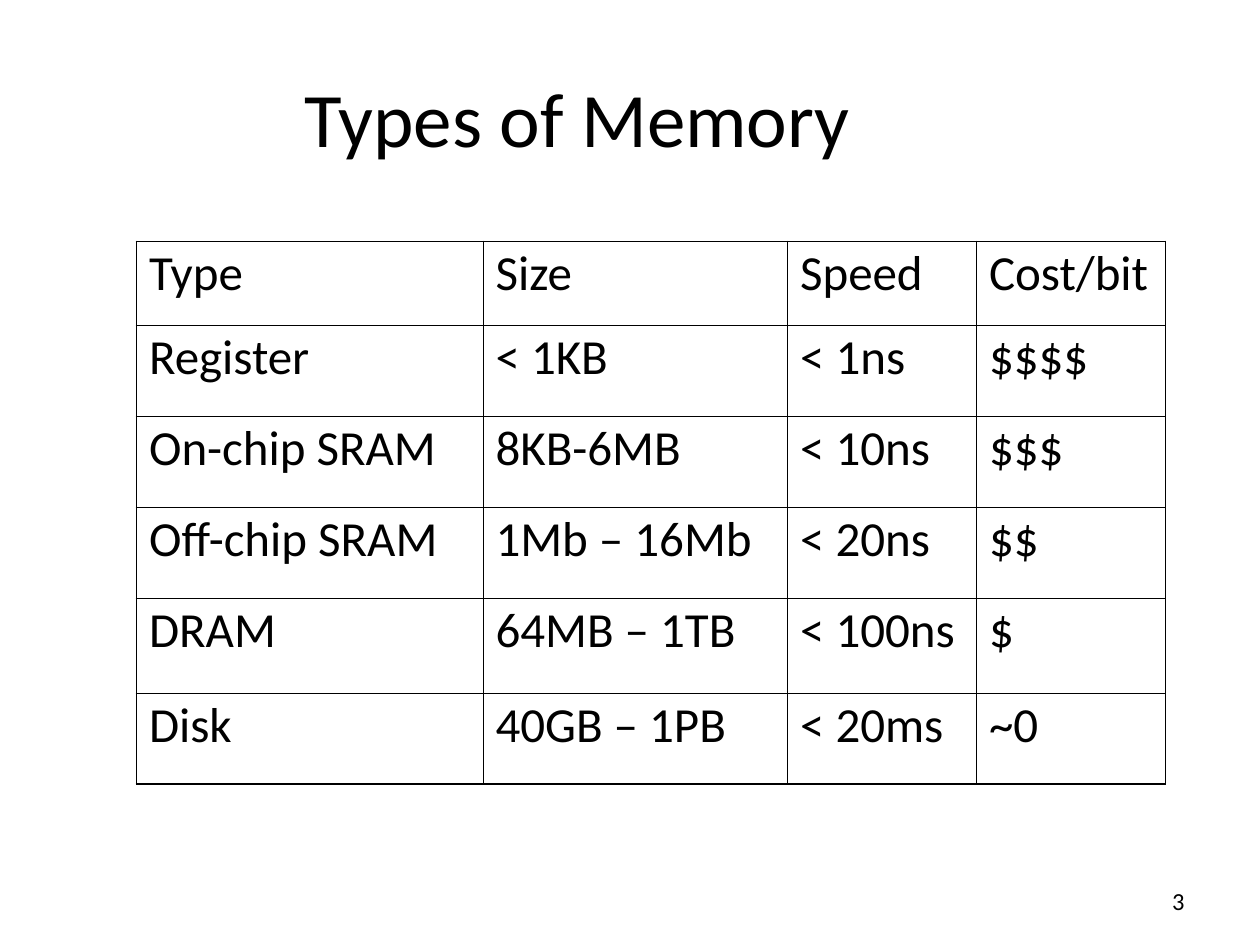
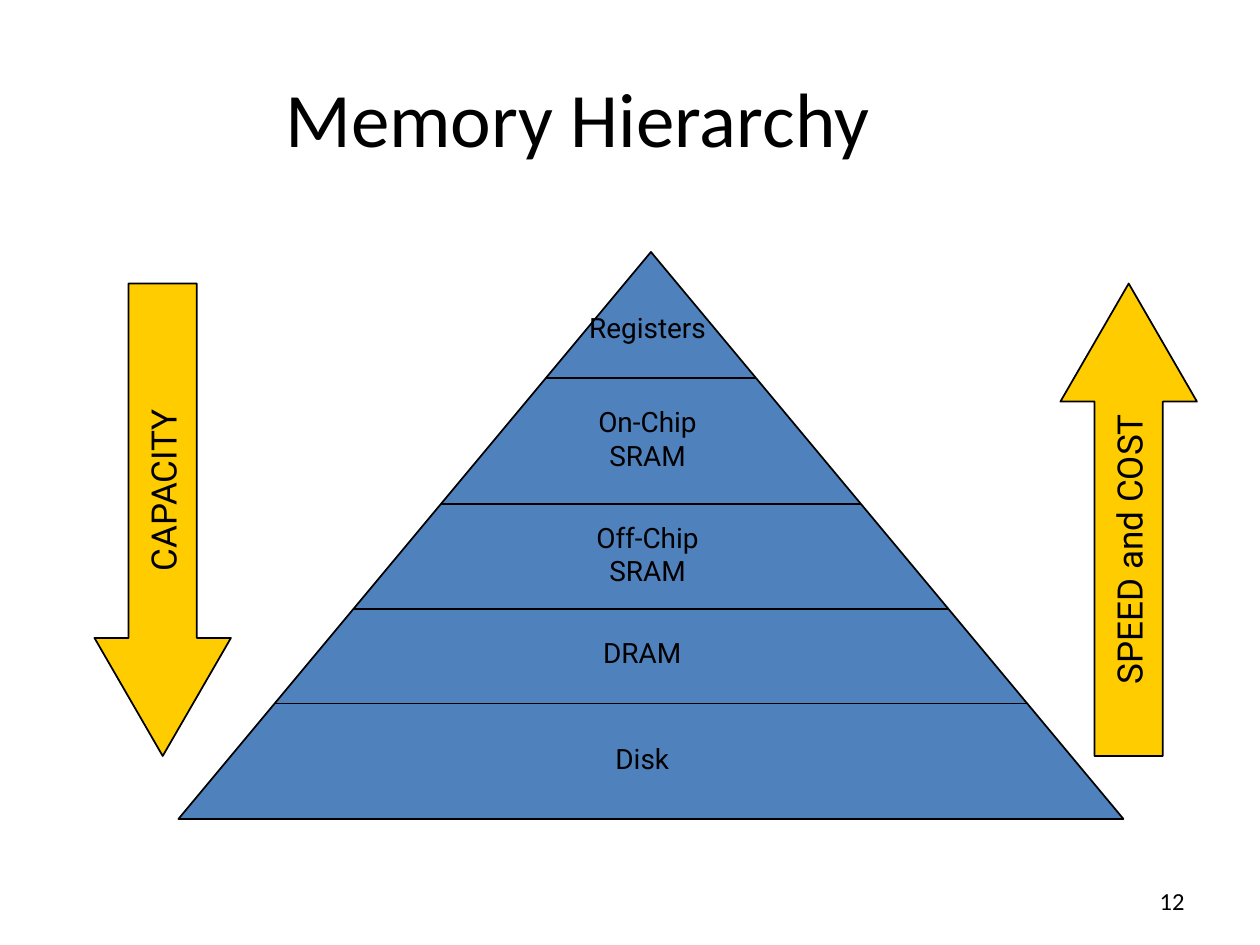
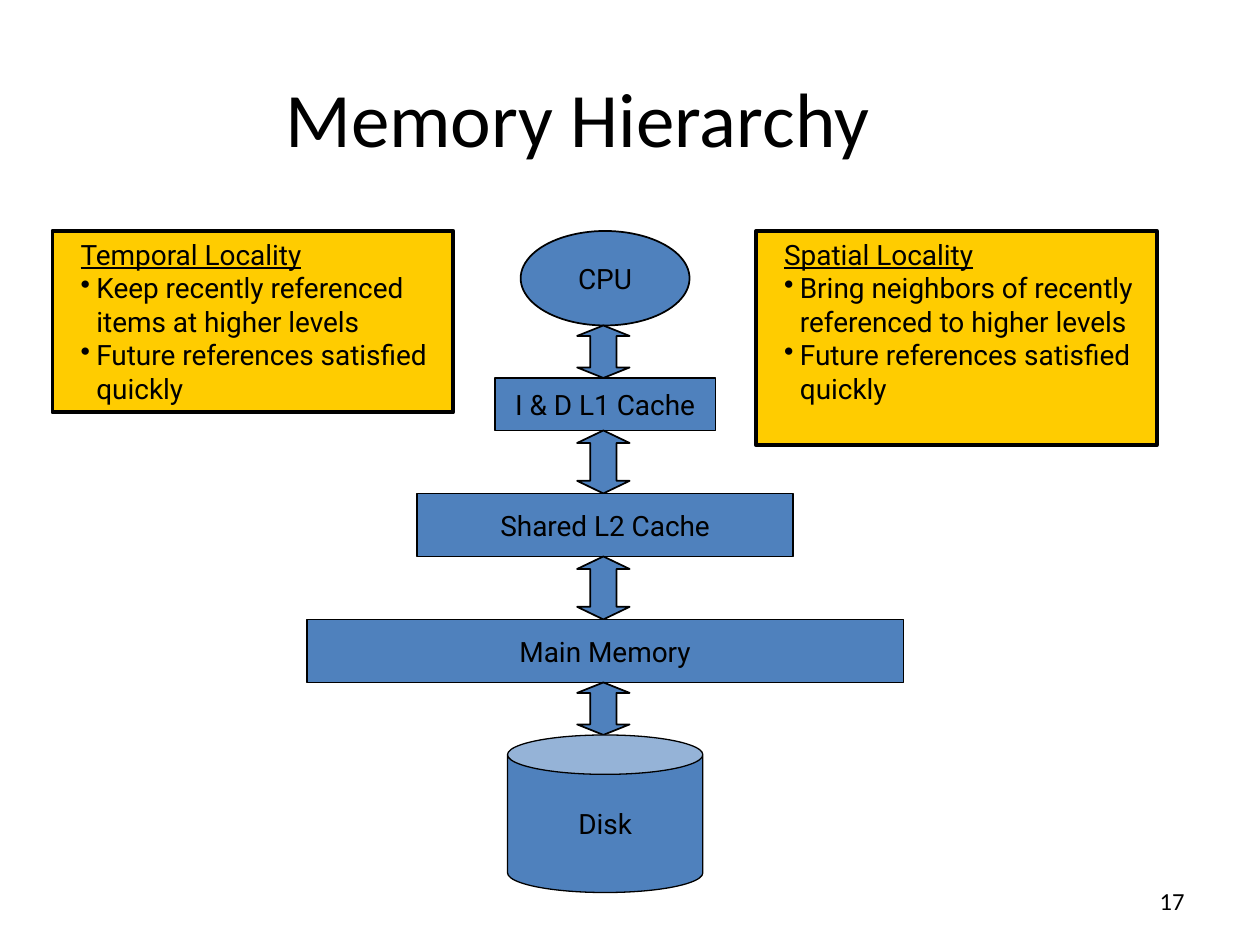
from lxml.etree import SubElement
from pptx import Presentation
from pptx.dml.color import RGBColor
from pptx.enum.shapes import MSO_CONNECTOR, MSO_SHAPE
from pptx.enum.text import MSO_ANCHOR, PP_ALIGN
from pptx.oxml.ns import qn
from pptx.util import Pt

COLORS = {"ink": "000000", "level": "4F81BD", "accent": "FFCC00"}
HEADING_FONT = "Calibri"
LABEL_FONT = "Roboto"
TITLE_BOX = (36, 21.6, 588, 90)
NUMBER_BOX = (600, 500.4, 84, 28.8)

MEMORY_TYPES = [
    ("Type", "Size", "Speed", "Cost/bit"),
    ("Register", "< 1KB", "< 1ns", "$$$$"),
    ("On-chip SRAM", "8KB-6MB", "< 10ns", "$$$"),
    ("Off-chip SRAM", "1Mb – 16Mb", "< 20ns", "$$"),
    ("DRAM", "64MB – 1TB", "< 100ns", "$"),
    ("Disk", "40GB – 1PB", "< 20ms", "~0"),
]
COLUMN_WIDTHS = (198, 174, 108, 108)
ROW_HEIGHTS = (48, 52, 52, 52, 54, 52)

# lines of the label, its top and its shift from the pyramid's axis
PYRAMID_LABELS = [
    (["Registers"], 29.8, -2),
    (["On-Chip", "SRAM"], 83.7, -2),
    (["Off-Chip", "SRAM"], 149.8, -2),
    (["DRAM"], 215.6, -5),
    (["Disk"], 276, -5),
]
TIER_FLOORS = (72, 144, 204, 258)

# label, outline, width, height, gap to the next level
LEVELS = [
    ("CPU", MSO_SHAPE.OVAL, 96.5, 54, 30),
    ("I & D L1 Cache", MSO_SHAPE.RECTANGLE, 126, 30, 36),
    ("Shared L2 Cache", MSO_SHAPE.RECTANGLE, 215, 36, 36),
    ("Main Memory", MSO_SHAPE.RECTANGLE, 341, 36, 30),
    ("Disk", MSO_SHAPE.CAN, 111.6, 90, 0),
]


def color(name):
    return RGBColor.from_string(COLORS[name])


def points(*lengths):
    return [Pt(length) for length in lengths]


def style(paragraph, size, font=LABEL_FONT, align=PP_ALIGN.CENTER):
    paragraph.alignment = align
    paragraph.font.size = Pt(size)
    paragraph.font.name = font
    paragraph.font.color.rgb = color("ink")


def write(frame, lines, size, font=LABEL_FONT, align=PP_ALIGN.CENTER,
          anchor=MSO_ANCHOR.MIDDLE, wrap=False):
    frame.word_wrap = wrap
    frame.vertical_anchor = anchor
    frame.text = "\n".join(lines)
    for paragraph in frame.paragraphs:
        style(paragraph, size, font, align)


def add_block(slide, outline, box, fill, line_width=1):
    block = slide.shapes.add_shape(outline, *points(*box))
    block.shadow.inherit = False
    block.fill.solid()
    block.fill.fore_color.rgb = color(fill)
    block.line.color.rgb = color("ink")
    block.line.width = Pt(line_width)
    return block


def add_arrow(slide, outline, box, head):
    """Add a block arrow whose head is given as a share of the arrow's width."""
    fill = "level" if outline == MSO_SHAPE.UP_DOWN_ARROW else "accent"
    arrow = add_block(slide, outline, box, fill)
    guides = arrow._element.spPr.find(qn("a:prstGeom")).find(qn("a:avLst"))
    for guide in list(guides):
        guides.remove(guide)
    for name, share in (("adj1", 0.5), ("adj2", head)):
        SubElement(guides, qn("a:gd"), name=name, fmla=f"val {round(share * 100000)}")
    return arrow


def add_rule(slide, left, right, y):
    rule = slide.shapes.add_connector(MSO_CONNECTOR.STRAIGHT, *points(left, y, right, y))
    rule.line.color.rgb = color("ink")
    rule.line.width = Pt(1)
    SubElement(rule._element.spPr, qn("a:effectLst"))


def add_titled_slide(prs, title, number):
    slide = prs.slides.add_slide(prs.slide_layouts[5])
    heading = slide.shapes.title
    heading.left, heading.top, heading.width, heading.height = points(*TITLE_BOX)
    write(heading.text_frame, [title], 44, HEADING_FONT, wrap=True)
    page = slide.shapes.add_textbox(*points(*NUMBER_BOX))
    write(page.text_frame, [str(number)], 14, HEADING_FONT, PP_ALIGN.RIGHT, wrap=True)
    return slide


def set_borders(cell, outer_sides):
    """Rule all four sides, more heavily on the table's outer edge."""
    for side in "LRTB":
        width = 1.08 if side in outer_sides else 0.45
        border = SubElement(cell._tc.get_or_add_tcPr(), qn(f"a:ln{side}"), w=str(Pt(width)))
        fill = SubElement(border, qn("a:solidFill"))
        SubElement(fill, qn("a:srgbClr"), val=COLORS["ink"])


def add_memory_table(slide, left, top):
    rows, columns = len(ROW_HEIGHTS), len(COLUMN_WIDTHS)
    table = slide.shapes.add_table(
        rows, columns, *points(left, top, sum(COLUMN_WIDTHS), sum(ROW_HEIGHTS))).table
    table.first_row = table.horz_banding = False
    for column, width in zip(table.columns, COLUMN_WIDTHS):
        column.width = Pt(width)
    for r, (height, values) in enumerate(zip(ROW_HEIGHTS, MEMORY_TYPES)):
        table.rows[r].height = Pt(height)
        for c, value in enumerate(values):
            cell = table.cell(r, c)
            cell.text = value
            paragraph = cell.text_frame.paragraphs[0]
            style(paragraph, 28, HEADING_FONT, PP_ALIGN.LEFT)
            paragraph.line_spacing = 0.9
            paragraph.space_before = Pt(7)
            edges = {"L": c == 0, "R": c == columns - 1, "T": r == 0, "B": r == rows - 1}
            set_borders(cell, [side for side, is_outer in edges.items() if is_outer])
            cell.fill.background()


def add_pyramid(slide, left, top, width, height):
    add_block(slide, MSO_SHAPE.ISOSCELES_TRIANGLE, (left, top, width, height), "level")
    axis = left + width / 2
    for floor in TIER_FLOORS:
        reach = width / 2 * floor / height
        add_rule(slide, axis - reach, axis + reach, top + floor)
    label_width = 84
    for lines, offset, shift in PYRAMID_LABELS:
        label = slide.shapes.add_textbox(*points(
            axis + shift - label_width / 2, top + offset, label_width, 7.2 + 19.4 * len(lines)))
        write(label.text_frame, lines, 16, anchor=MSO_ANCHOR.TOP)


def add_trend_arrow(slide, outline, left, top, label):
    arrow = add_arrow(slide, outline, (left, top, 78, 270), 0.865)
    write(arrow.text_frame, [label], 20)
    arrow.text_frame._txBody.bodyPr.set("vert", "vert270")


def add_level_stack(slide, axis, top):
    """Stack the memory levels downwards, with a two-way arrow in each gap."""
    arrow_width = 30
    for label, outline, width, height, gap in LEVELS:
        line_width = 0.75 if outline == MSO_SHAPE.CAN else 1
        level = add_block(slide, outline, (axis - width / 2, top, width, height),
                          "level", line_width)
        write(level.text_frame, [label], 16)
        top += height
        if gap:
            add_arrow(slide, MSO_SHAPE.UP_DOWN_ARROW,
                      (axis - 1 - arrow_width / 2, top, arrow_width, gap),
                      gap / 5 / arrow_width)
        top += gap


def add_locality_note(slide, box, heading, effects):
    note = add_block(slide, MSO_SHAPE.RECTANGLE, box, "accent", 2.25)
    write(note.text_frame, [heading, *effects], 16, align=PP_ALIGN.LEFT,
          anchor=MSO_ANCHOR.TOP, wrap=True)
    first, *bulleted = note.text_frame.paragraphs
    first.font.underline = True
    for paragraph in note.text_frame.paragraphs:
        properties = paragraph._p.get_or_add_pPr()
        properties.set("marL", str(Pt(18)))
        properties.set("indent", str(Pt(-9)))
    for paragraph in bulleted:
        bullet = paragraph._p.pPr.makeelement(qn("a:buChar"), {"char": "•"})
        paragraph._p.pPr.find(qn("a:defRPr")).addprevious(bullet)


def build_types_slide(prs):
    slide = add_titled_slide(prs, "Types of Memory", 3)
    add_memory_table(slide, 78, 138)


def build_pyramid_slide(prs):
    slide = add_titled_slide(prs, "Memory Hierarchy", 12)
    add_pyramid(slide, 102, 144, 540, 324)
    add_trend_arrow(slide, MSO_SHAPE.DOWN_ARROW, 54, 162, "CAPACITY")
    add_trend_arrow(slide, MSO_SHAPE.UP_ARROW, 606, 162, "SPEED and COST")


def build_locality_slide(prs):
    slide = add_titled_slide(prs, "Memory Hierarchy", 17)
    add_level_stack(slide, 345.8, 132)
    outcome = "Future references satisfied quickly"
    add_locality_note(slide, (30, 132, 229, 103.7), "Temporal Locality",
                      ["Keep recently referenced items at higher levels", outcome])
    add_locality_note(slide, (432, 132, 229, 122.4), "Spatial Locality",
                      ["Bring neighbors of recently referenced to higher levels", outcome])


def main():
    prs = Presentation()
    prs.slide_width, prs.slide_height = points(720, 540)
    build_types_slide(prs)
    build_pyramid_slide(prs)
    build_locality_slide(prs)
    prs.save("out.pptx")


if __name__ == "__main__":
    main()
